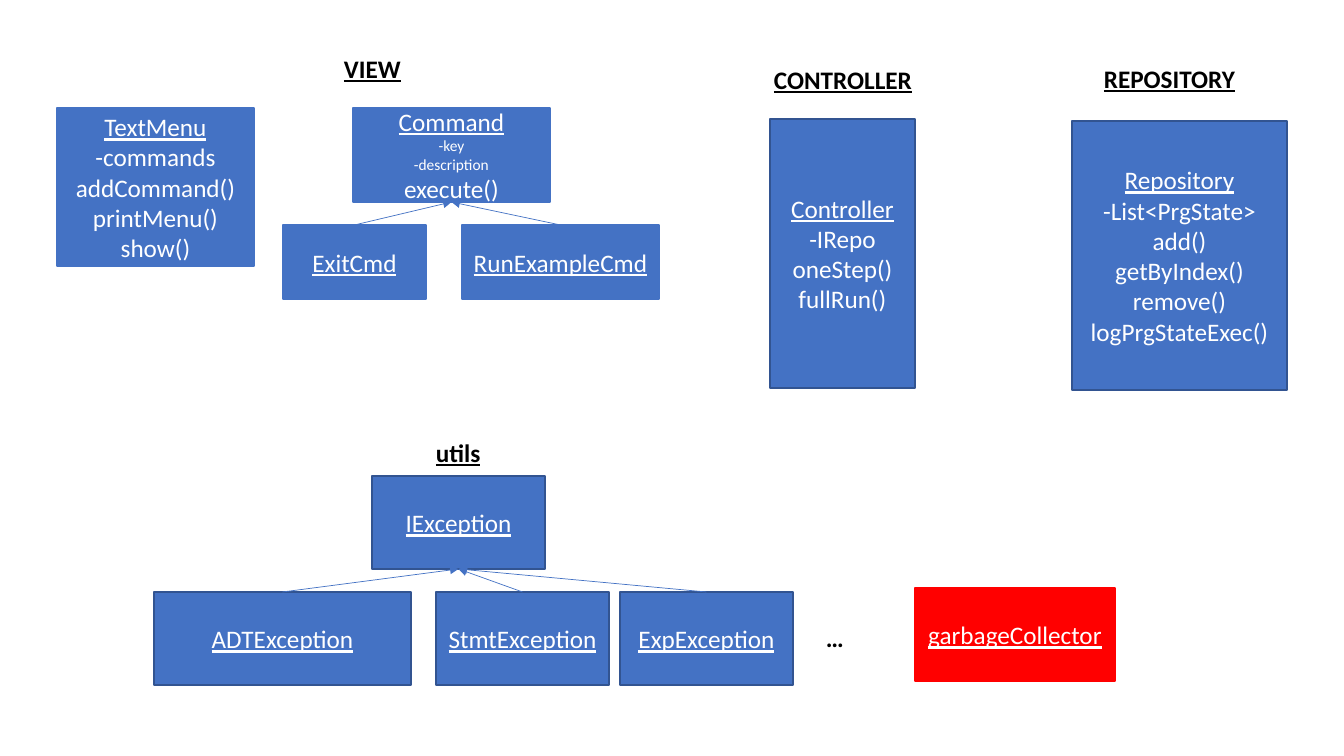
"""Build a class overview slide with view, controller, repository and utils regions."""
from lxml.etree import SubElement
from pptx import Presentation
from pptx.dml.color import RGBColor
from pptx.enum.shapes import MSO_CONNECTOR as CONNECTOR, MSO_SHAPE as SHAPE
from pptx.enum.text import MSO_ANCHOR as ANCHOR, MSO_AUTO_SIZE as AUTO_SIZE, PP_ALIGN as ALIGN
from pptx.oxml.ns import qn
from pptx.util import Pt

SCALE = 914400 / 100.8
COLORS = {"blue": "4472C4", "navy": "325491", "red": "FF0000", "white": "FFFFFF", "black": "000000"}
FONT = "Calibri"
BODY_SIZE = 18
FIELD_SIZE = 11
LABEL_HEIGHT = 40
TOP_SITE, BOTTOM_SITE = 0, 2


def emu(*pixels):
    """Turn pixel lengths into EMU."""
    return [round(value * SCALE) for value in pixels]


def color(name):
    """Return the named colour."""
    return RGBColor.from_string(COLORS[name])


def style(para, name, size=BODY_SIZE, bold=False, underline=False):
    """Format every run of a paragraph."""
    for span in para.runs:
        span.font.name = FONT
        span.font.size = Pt(size)
        span.font.bold = bold
        span.font.underline = underline
        span.font.color.rgb = color(name)


def add_class(page, box, lines, fill="blue", line="blue", field_size=BODY_SIZE):
    """Add a class rectangle with an underlined name above its members."""
    shape = page.shapes.add_shape(SHAPE.RECTANGLE, *emu(*box))
    shape.shadow.inherit = False
    shape.fill.solid()
    shape.fill.fore_color.rgb = color(fill)
    shape.line.color.rgb = color(line)
    shape.line.width = Pt(1)
    frame = shape.text_frame
    frame.word_wrap = True
    frame.vertical_anchor = ANCHOR.MIDDLE
    frame.text = "\n".join(lines)
    for index, para in enumerate(frame.paragraphs):
        para.alignment = ALIGN.CENTER
        size = field_size if para.text.startswith("-") else BODY_SIZE
        style(para, "white", size, underline=index == 0)
    return shape


def add_label(page, left, top, width, text, underline=True):
    """Add a bold one-line label."""
    label = page.shapes.add_textbox(*emu(left, top, width, LABEL_HEIGHT))
    frame = label.text_frame
    frame.word_wrap = False
    frame.auto_size = AUTO_SIZE.SHAPE_TO_FIT_TEXT
    frame.text = text
    style(frame.paragraphs[0], "black", bold=True, underline=underline)


def add_inheritance(page, child, parent):
    """Connect a subclass to the bottom of its parent with an arrow."""
    arrow = page.shapes.add_connector(CONNECTOR.STRAIGHT, 0, 0, 0, 0)
    arrow.begin_connect(child, TOP_SITE)
    arrow.end_connect(parent, BOTTOM_SITE)
    arrow.line.color.rgb = color("blue")
    arrow.line.width = Pt(0.5)
    SubElement(arrow.line._get_or_add_ln(), qn("a:tailEnd"), type="triangle")
    SubElement(arrow._element.spPr, qn("a:effectLst"))


def add_view(page, left, top):
    """Add the menu and the command hierarchy."""
    add_label(page, left + 277, top, 78, "VIEW")
    menu = ["TextMenu", "-commands", "addCommand()", "printMenu()", "show()"]
    add_class(page, (left, top + 60, 197, 158), menu)
    members = ["Command", "-key", "-description", "execute()"]
    command = add_class(page, (left + 296, top + 60, 197, 94), members, field_size=FIELD_SIZE)
    for offset, width, name in [(226, 143, "ExitCmd"), (405, 197, "RunExampleCmd")]:
        child = add_class(page, (left + offset, top + 177, width, 74), [name])
        add_inheritance(page, child, command)


def add_layer(page, box, label, label_box, lines):
    """Add a layer made of one class and its label."""
    left, top = box[:2]
    offset_x, offset_y, width = label_box
    add_class(page, box, lines, line="navy")
    add_label(page, left + offset_x, top + offset_y, width, label)


def add_utils(page, left, top):
    """Add the exception hierarchy and the garbage collector."""
    add_label(page, left + 272, top, 66, "utils")
    parent = add_class(page, (left + 218, top + 44, 173, 93), ["IException"], line="navy")
    children = [(0, 257, "ADTException"), (282, 173, "StmtException"), (466, 173, "ExpException")]
    for offset, width, name in children:
        child = add_class(page, (left + offset, top + 160, width, 93), [name], line="navy")
        add_inheritance(page, child, parent)
    add_label(page, left + 662, top + 185, 38, "…", underline=False)
    add_class(page, (left + 761, top + 156, 200, 93), ["garbageCollector"], "red", "red")


def main():
    """Build and save the deck."""
    deck = Presentation()
    deck.slide_width, deck.slide_height = emu(1344, 756)
    page = deck.slides.add_slide(deck.slide_layouts[6])
    add_view(page, 57, 48)
    add_layer(page, (770, 119, 145, 269), "CONTROLLER", (-6, -60, 159),
              ["Controller", "-IRepo", "oneStep()", "fullRun()"])
    add_layer(page, (1072, 121, 215, 269), "REPOSITORY", (22, -63, 152),
              ["Repository", "-List<PrgState>", "add()", "getByIndex()", "remove()", "logPrgStateExec()"])
    add_utils(page, 154, 432)
    deck.save("out.pptx")


main()
